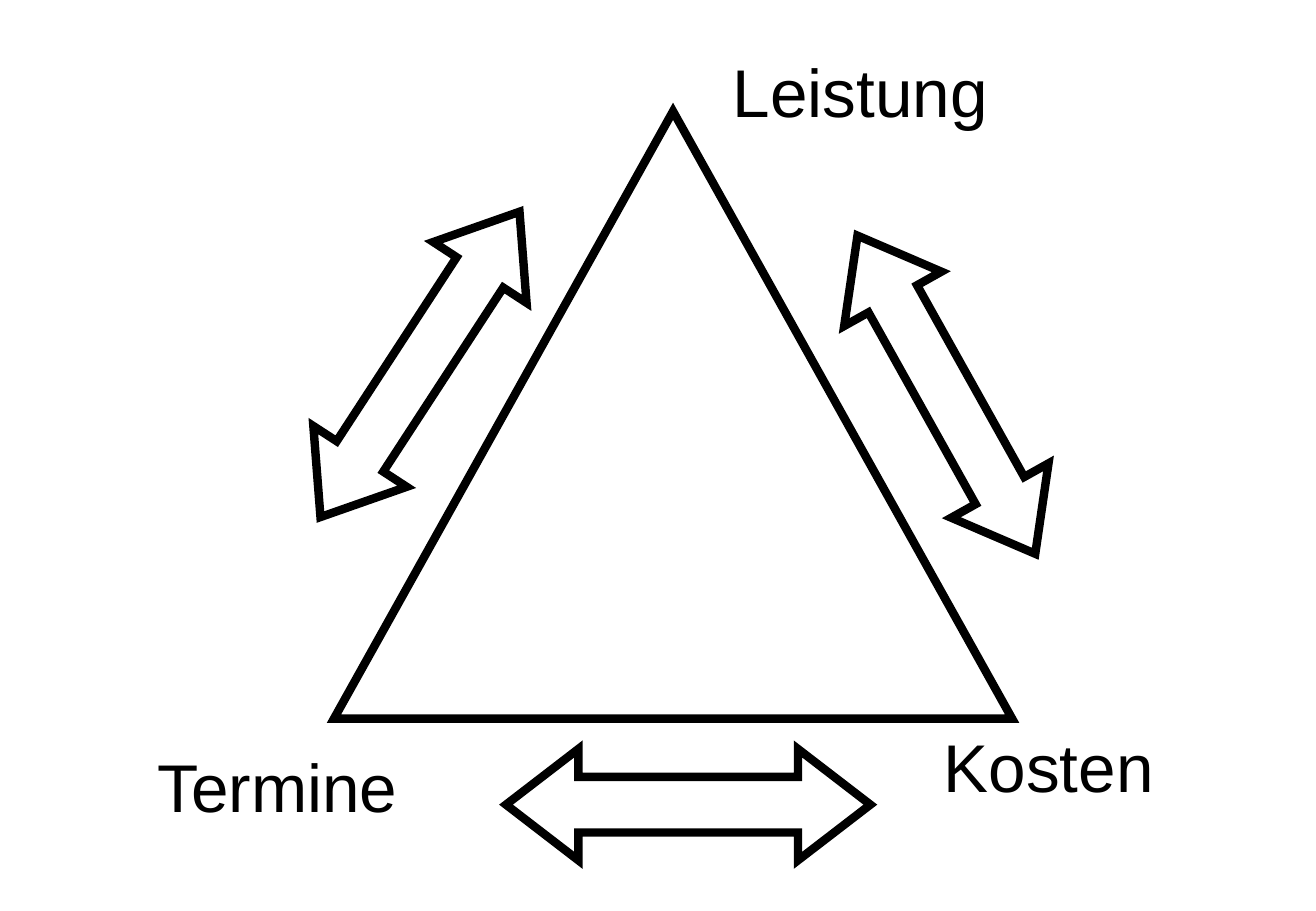
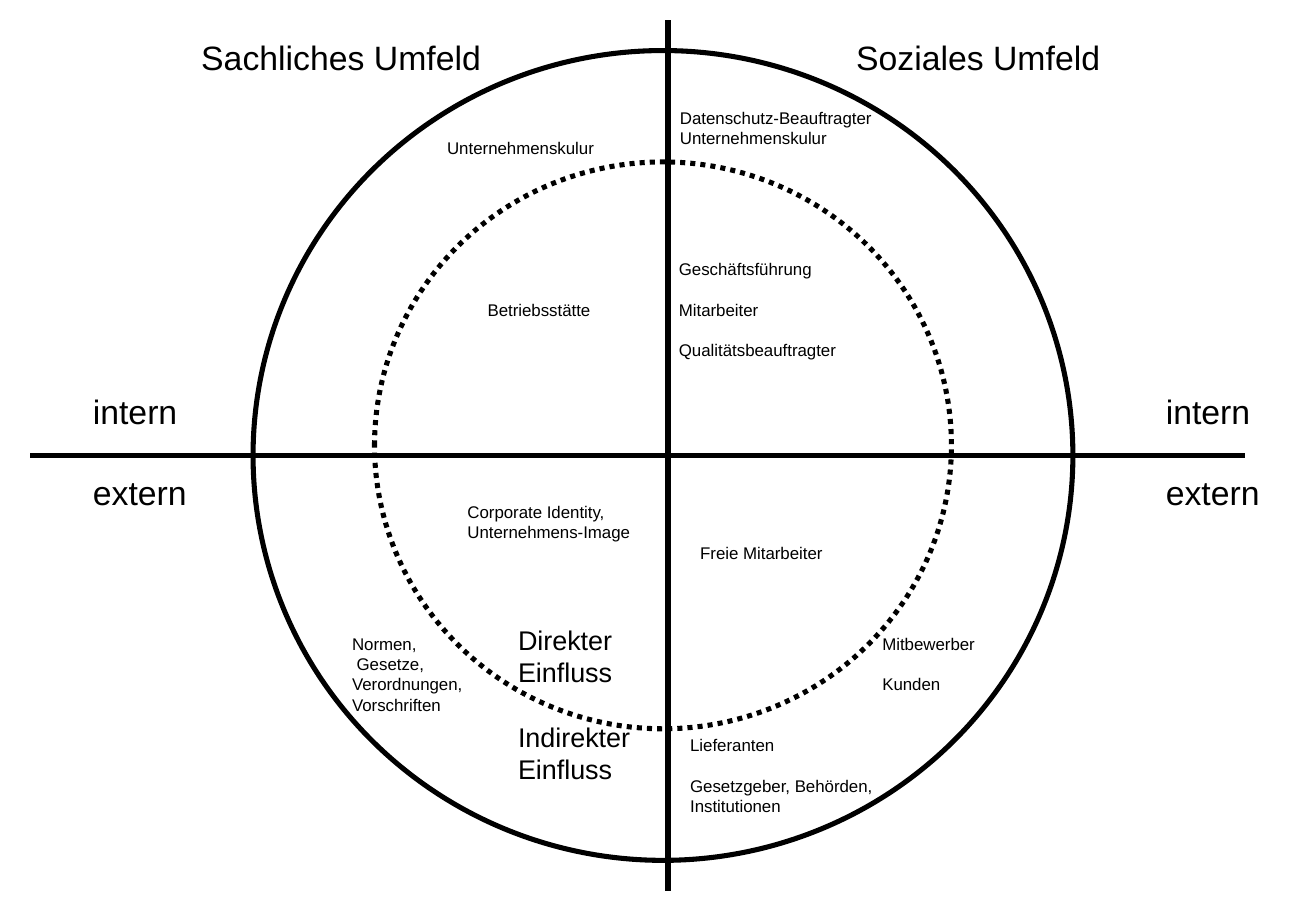
from lxml.etree import SubElement
from pptx import Presentation
from pptx.dml.color import RGBColor
from pptx.enum.dml import MSO_LINE
from pptx.enum.shapes import MSO_CONNECTOR, MSO_SHAPE
from pptx.enum.text import PP_ALIGN
from pptx.oxml.ns import qn
from pptx.util import Emu, Pt

PX = 7620  # 120 px to the inch
INK = "000000"
FONT = "Arial"
LINE_HEIGHT = 1.2


def add_text(slide, text, left, top, width, height, size=10, color=INK, align=PP_ALIGN.LEFT):
    """Place text; an empty line in it becomes a gap of one line before the next paragraph."""
    frame = slide.shapes.add_textbox(left * PX, top * PX, width * PX, height * PX).text_frame
    frame.word_wrap = True
    paragraph = frame.paragraphs[0]
    for group_index, group in enumerate(text.split("\n\n")):
        for line_index, line in enumerate(group.split("\n")):
            if group_index or line_index:
                paragraph = frame.add_paragraph()
            if group_index and not line_index:
                paragraph.space_before = Pt(size * LINE_HEIGHT)
            paragraph.line_spacing = Pt(size * LINE_HEIGHT)
            paragraph.alignment = align
            run = paragraph.add_run()
            run.text = line
            run.font.name = FONT
            run.font.size = Pt(size)
            run.font.color.rgb = RGBColor.from_string(color)


def add_outline(slide, kind, left, top, width, height, weight, dash=None):
    """Add an unfilled preset shape with sharp corners."""
    outline = slide.shapes.add_shape(kind, left * PX, top * PX, width * PX, height * PX)
    outline.shadow.inherit = False
    outline.fill.background()
    outline.line.color.rgb = RGBColor.from_string(INK)
    outline.line.width = Pt(weight)
    if dash:
        outline.line.dash_style = dash
    SubElement(outline.line._get_or_add_ln(), qn("a:miter"), lim="800000")
    return outline


deck = Presentation()
deck.slide_width = Emu(9907588)  # A4 paper format, a fraction over 1300 px
deck.slide_height = Emu(900 * PX)
blank_layout = deck.slide_layouts[6]

# Slide 1: project triangle
triangle_slide = deck.slides.add_slide(blank_layout)
add_outline(triangle_slide, MSO_SHAPE.ISOSCELES_TRIANGLE, 330, 110, 670, 600, weight=5)

for goal, left, top, width in [
    ("Termine", 140, 730, 268),
    ("Leistung", 712, 44, 276),
    ("Kosten", 920, 710, 232),
]:
    add_text(triangle_slide, goal, left, top, width, 92, size=40, align=PP_ALIGN.CENTER)

for left, top, rotation in [(500, 740, 0), (235, 305, 303.1), (755, 335, 60.8)]:
    trade_off = add_outline(triangle_slide, MSO_SHAPE.LEFT_RIGHT_ARROW, left, top, 360, 110, weight=5)
    trade_off.adjustments[0] = 0.5
    trade_off.adjustments[1] = 0.65
    trade_off.rotation = rotation

# Slide 2: project environment
environment_slide = deck.slides.add_slide(blank_layout)
add_outline(environment_slide, MSO_SHAPE.OVAL, 250, 50, 810, 800, weight=3)
add_outline(environment_slide, MSO_SHAPE.OVAL, 370, 160, 570, 560, weight=3, dash=MSO_LINE.ROUND_DOT)

for ends in [(660, 20, 660, 880), (30, 450, 1230, 450)]:
    axis = environment_slide.shapes.add_connector(MSO_CONNECTOR.STRAIGHT, *(end * PX for end in ends))
    axis.line.color.rgb = RGBColor.from_string(INK)
    axis.line.width = Pt(3)
    SubElement(axis._element.spPr, qn("a:effectLst"))

for left in (80, 1140):
    add_text(environment_slide, "intern\n\nextern", left, 380, 125, 132, size=20)
for heading, left in [("Sachliches Umfeld", 187), ("Soziales Umfeld", 834)]:
    add_text(environment_slide, heading, left, 30, 320, 53, size=20)
add_text(environment_slide, "Direkter\nEinfluss\n\nIndirekter\nEinfluss", 500, 610, 150, 173, size=16)

for factors, left, top, width, height in [
    ("Geschäftsführung\n\nMitarbeiter\n\nQualitätsbeauftragter", 659, 250, 190, 132),
    ("Mitbewerber\n\nKunden", 860, 620, 135, 72),
    ("Lieferanten\n\nGesetzgeber, Behörden,\nInstitutionen", 670, 720, 220, 92),
    ("Unternehmenskulur", 430, 130, 180, 32),
    ("Betriebsstätte", 470, 290, 135, 32),
    ("Freie Mitarbeiter", 680, 530, 155, 32),
    ("Normen,\n Gesetze,\nVerordnungen,\nVorschriften", 336, 620, 145, 92),
    ("Datenschutz-Beauftragter\nUnternehmenskulur", 660, 100, 225, 53),
    ("Corporate Identity,\nUnternehmens-Image", 450, 490, 200, 53),
]:
    add_text(environment_slide, factors, left, top, width, height)

deck.save("out.pptx")
